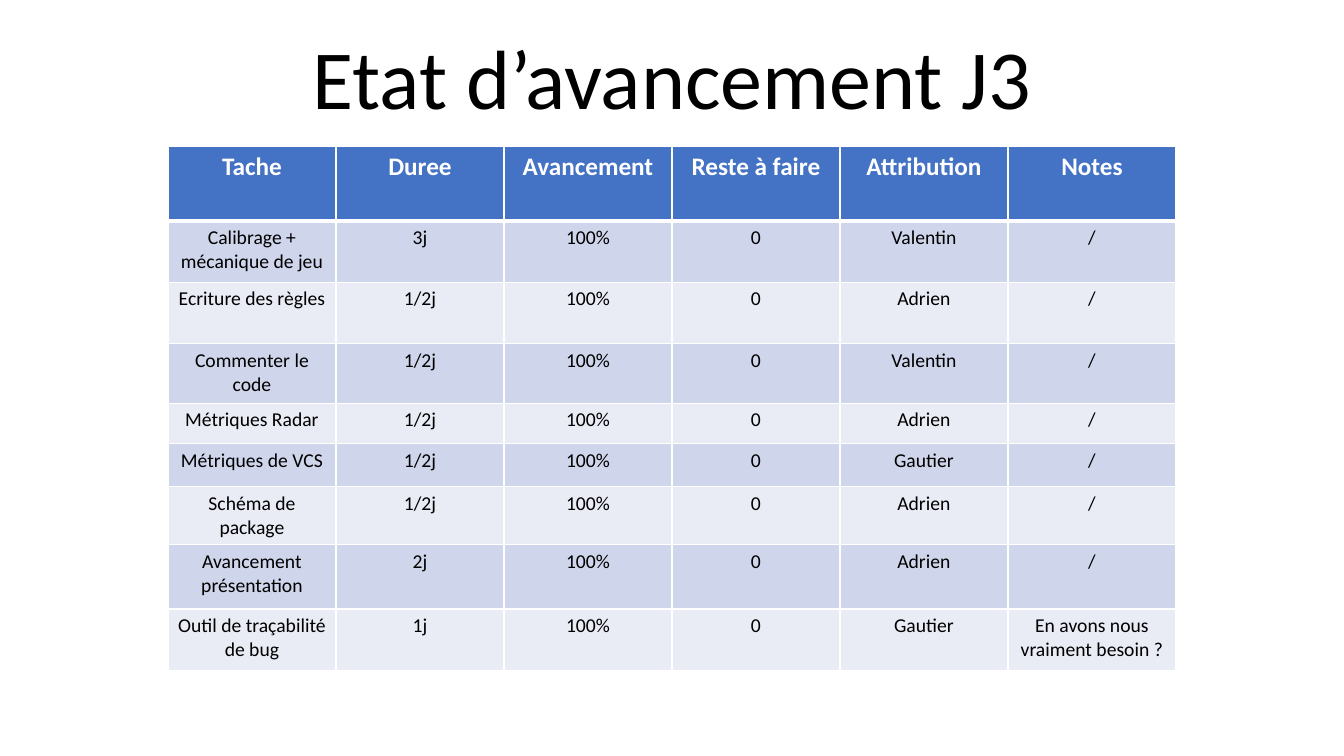
"""Build the day-three progress slide: a title above a task table."""
from lxml import etree
from pptx import Presentation
from pptx import util as u
from pptx.dml.color import RGBColor
from pptx.enum import text
from pptx.oxml import ns

BLACK = RGBColor(0x00, 0x00, 0x00)
WHITE = RGBColor(0xFF, 0xFF, 0xFF)
BLUE = RGBColor(0x44, 0x72, 0xC4)
BANDS = RGBColor(0xCF, 0xD5, 0xEA), RGBColor(0xE9, 0xEB, 0xF5)

HEADERS = ["Tache", "Duree", "Avancement", "Reste à faire", "Attribution", "Notes"]
TASKS = [
    ("Calibrage + mécanique de jeu", "3j", "Valentin", "/", 6.1),
    ("Ecriture des règles", "1/2j", "Adrien", "/", 6.1),
    ("Commenter le code", "1/2j", "Valentin", "/", 5.9),
    ("Métriques Radar", "1/2j", "Adrien", "/", 4),
    ("Métriques de VCS", "1/2j", "Gautier", "/", 4.3),
    ("Schéma de package", "1/2j", "Adrien", "/", 5.7),
    ("Avancement présentation", "2j", "Adrien", "/", 6.4),
    ("Outil de traçabilité de bug", "1j", "Gautier", "En avons nous vraiment besoin ?", 6.1),
]
HEADER_HEIGHT = 7.4


def write(tf, content, size, color=BLACK, bold=False, font="Calibri", spacing=1.0):
    """Put one centred, formatted paragraph in a text frame."""
    p = tf.paragraphs[0]
    p.alignment = text.PP_ALIGN.CENTER
    p.line_spacing = spacing
    r = p.add_run()
    r.text = content
    r.font.name = font
    r.font.size = u.Pt(size)
    r.font.bold = bold
    r.font.color.rgb = color


class Deck:
    """Hold the slide and its grid of 8 columns by 75 rows."""

    def __init__(self, prs):
        self.col = prs.slide_width / 8
        self.row = prs.slide_height / 75
        self.s = prs.slides.add_slide(prs.slide_layouts[5])
        for sp in list(self.s.placeholders):
            if sp != self.s.shapes.title:
                sp.element.getparent().remove(sp.element)

    def box(self, col, row, cols, rows):
        """Turn grid units into lengths."""
        return [u.Emu(round(n * unit)) for n, unit in
                zip((col, row, cols, rows), (self.col, self.row) * 2)]

    def title(self, content, *grid):
        """Place and fill the title placeholder."""
        sp = self.s.shapes.title
        sp.left, sp.top, sp.width, sp.height = self.box(*grid)
        tf = sp.text_frame
        tf.word_wrap = True
        tf.auto_size = text.MSO_AUTO_SIZE.NONE
        tf.vertical_anchor = text.MSO_ANCHOR.BOTTOM
        write(tf, content, 60, spacing=0.9)

    def border(self, cell, **widths):
        """Draw white cell borders, given in points by side."""
        tcPr = cell._tc.get_or_add_tcPr()
        for side, width in widths.items():
            ln = etree.SubElement(tcPr, ns.qn(f"a:ln{side}"), w=str(u.Pt(width)))
            fill = etree.SubElement(ln, ns.qn("a:solidFill"))
            etree.SubElement(fill, ns.qn("a:srgbClr"), val=str(WHITE))

    def table(self, rows, heights, col, row):
        """Add a table with a header row and banded body rows."""
        cols = len(rows[0])
        grid = self.box(col, row, cols, sum(heights))
        tbl = self.s.shapes.add_table(len(rows), cols, *grid).table
        for i, (values, height) in enumerate(zip(rows, heights)):
            tbl.rows[i].height = u.Emu(round(height * self.row))
            head = i == 0
            for j, value in enumerate(values):
                cell = tbl.cell(i, j)
                self.border(cell, L=1, R=1, T=3 if i == 1 else 1, B=3 if head else 1)
                cell.fill.solid()
                cell.fill.fore_color.rgb = BLUE if head else BANDS[(i - 1) % 2]
                write(cell.text_frame, value, 18 if head else 14,
                      WHITE if head else BLACK, bold=head)


prs = Presentation()
prs.slide_width, prs.slide_height = u.Inches(13.33), u.Inches(7.5)
deck = Deck(prs)
deck.title("Etat d’avancement J3", 1, 2.1, 6, 11.1)
body = [(task, time, "100%", "0", who, note) for task, time, who, note, _ in TASKS]
deck.table([HEADERS] + body, [HEADER_HEIGHT] + [task[-1] for task in TASKS], 1, 14.5)
prs.save("out.pptx")
